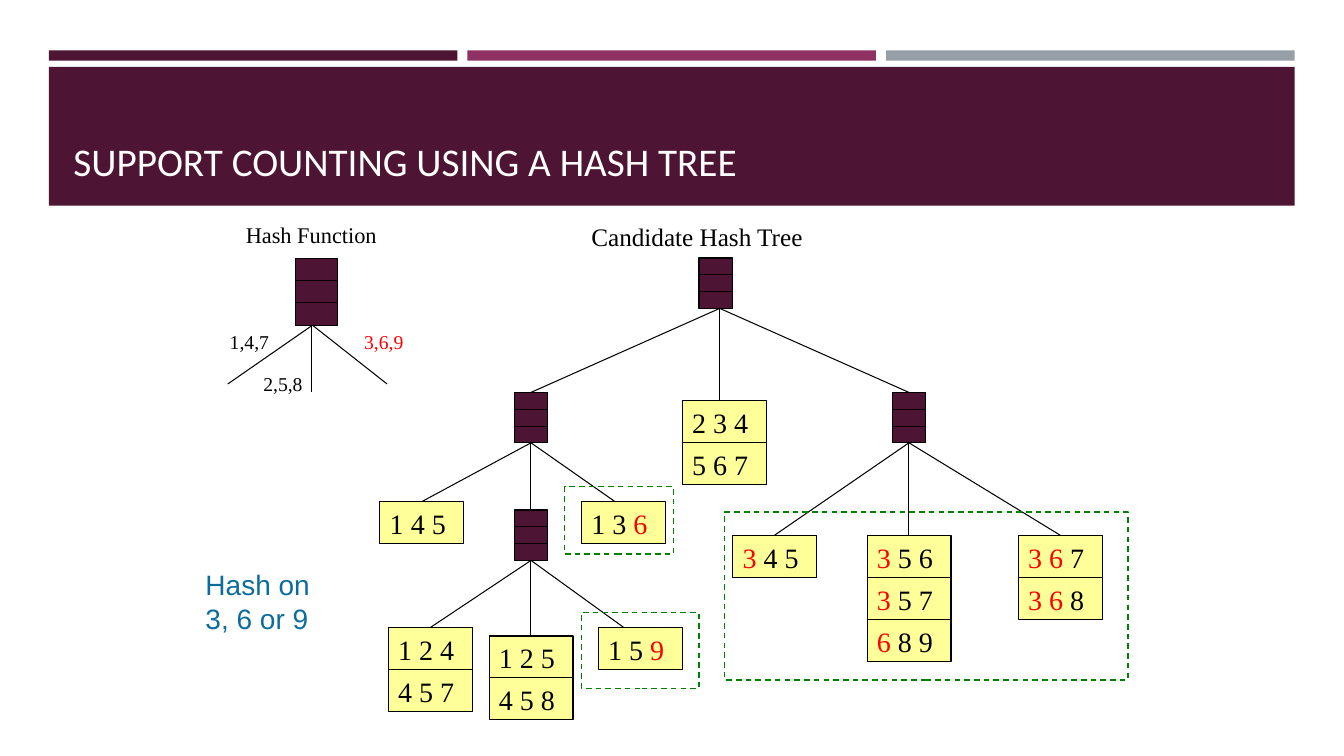
"""Build a slide that explains support counting with a hash tree."""
import pptx
import pptx.dml.color
import pptx.enum.dml
import pptx.enum.shapes
import pptx.enum.text
import pptx.oxml
import pptx.util

Pt = pptx.util.Pt
RGBColor = pptx.dml.color.RGBColor
PLUM = RGBColor(0x4D, 0x14, 0x34)
MAGENTA = RGBColor(0x90, 0x31, 0x63)
GREY = RGBColor(0x96, 0x9F, 0xA7)
WHITE = RGBColor(0xFF, 0xFF, 0xFF)
BLACK = RGBColor(0, 0, 0)
RED = RGBColor(0xFF, 0, 0)
YELLOW = RGBColor(0xFF, 0xFF, 0x99)
GREEN = RGBColor(0, 0x80, 0)
BLUE = RGBColor(0x0C, 0x6D, 0x9C)
SERIF = "Times New Roman"


def add_rectangle(slide, left, top, width, height, fill=None, line=None):
    shape = slide.shapes.add_shape(
        pptx.enum.shapes.MSO_SHAPE.RECTANGLE, Pt(left), Pt(top), Pt(width), Pt(height))
    shape.shadow.inherit = False
    if fill is None:
        shape.fill.background()
    else:
        shape.fill.solid()
        shape.fill.fore_color.rgb = fill
    if line is None:
        shape.line.fill.background()
    else:
        shape.line.color.rgb = line
        shape.line.width = Pt(0.75)
    return shape


def write(shape, text, size, color=BLACK, font=SERIF, wrap=False,
          anchor=pptx.enum.text.MSO_ANCHOR.TOP):
    frame = shape.text_frame
    frame.word_wrap = wrap
    frame.vertical_anchor = anchor
    paragraph = frame.paragraphs[0]
    paragraph.alignment = pptx.enum.text.PP_ALIGN.LEFT
    for index, part in enumerate(text.split("|")):
        if part:
            run = paragraph.add_run()
            run.text = part
            run.font.name = font
            run.font.size = Pt(size)
            run.font.color.rgb = RED if index % 2 else color


def add_text(slide, left, top, width, height, text, size, **style):
    box = slide.shapes.add_textbox(Pt(left), Pt(top), Pt(width), Pt(height))
    write(box, text, size, **style)


def add_line(slide, start, end):
    points = [(Pt(0), Pt(0)) if not isinstance(place, tuple) else (Pt(place[0]), Pt(place[1]))
              for place in (start, end)]
    line = slide.shapes.add_connector(
        pptx.enum.shapes.MSO_CONNECTOR.STRAIGHT, *points[0], *points[1])
    if not isinstance(start, tuple):
        line.begin_connect(start, 2)
    if not isinstance(end, tuple):
        line.end_connect(end, 0)
    line.line.color.rgb = BLACK
    line.line.width = Pt(0.75)
    line._element.spPr.append(pptx.oxml.parse_xml(
        '<a:effectLst xmlns:a="http://schemas.openxmlformats.org/drawingml/2006/main"/>'))


def add_node(slide, left, top, width=24, height=36):
    node = add_rectangle(slide, left, top, width, height, PLUM, BLACK)
    for third in (1, 2):
        y = top + third * height / 3
        add_line(slide, (left, y), (left + width, y))
    return node


def add_leaf(slide, left, top, itemsets):
    cells = []
    for row, itemset in enumerate(itemsets):
        cell = add_rectangle(slide, left, top + 30 * row, 60, 30, YELLOW, BLACK)
        write(cell, itemset, 20)
        cells.append(cell)
    return cells[0]


def add_highlight(slide, left, top, width, height):
    highlight = add_rectangle(slide, left, top, width, height, line=GREEN)
    highlight.line.width = Pt(1)
    highlight.line.dash_style = pptx.enum.dml.MSO_LINE.DASH


def add_banner(slide, left, top, width):
    gap = 7.2
    bar_width = (width - 2 * gap) / 3
    for column, color in enumerate((PLUM, MAGENTA, GREY)):
        add_rectangle(slide, left + column * (bar_width + gap), top, bar_width, 7.4, color)
    add_rectangle(slide, left, top + 11.8, width, 99.2, PLUM)
    add_text(slide, left + 10.5, top + 21.6, width - 21, 77.8,
             "SUPPORT COUNTING USING A HASH TREE", 28, color=WHITE, font="Calibri",
             wrap=True, anchor=pptx.enum.text.MSO_ANCHOR.BOTTOM)


def add_hash_function(slide, left, top):
    add_text(slide, left + 11.5, top, 109, 26.6, "Hash Function", 16)
    add_node(slide, left + 54, top + 30, 30, 48)
    for start, x, y in ((66.2, 5.7, 120), (65.5, 65.5, 126), (66.2, 119.5, 120)):
        add_line(slide, (left + start, top + 78), (left + x, top + y))
    for x, y, label in ((0, 78, "1,4,7"), (24, 108, "2,5,8"), (96, 78, "|3,6,9|")):
        add_text(slide, left + x, top + y, 42.5, 24, label, 14)


def add_candidate_tree(slide, left, top):
    def at(x, y):
        return left + x, top + y

    add_text(slide, *at(144, 0), 167, 29, "Candidate Hash Tree", 18)
    add_node(slide, *at(228, 30))
    left_node, right_node, low_node = (
        add_node(slide, *at(x, y)) for x, y in ((96, 126), (366, 126), (96, 210)))
    add_leaf(slide, *at(216, 132), ["2 3 4", "5 6 7"])
    add_leaf(slide, *at(144, 204), ["1 3 |6|"])
    add_leaf(slide, *at(156, 294), ["1 5 |9|"])

    root_end = at(242.8, 66)
    for child in (left_node, at(242.8, 132), right_node):
        add_line(slide, root_end, child)
    add_line(slide, left_node, low_node)
    add_line(slide, left_node, at(168, 204))
    add_line(slide, low_node, at(174.4, 294))

    for parent, x, y, itemsets in (
            (left_node, 0, 204, ["1 4 5"]),
            (right_node, 252, 228, ["|3| 4 5"]),
            (right_node, 348, 228, ["|3| 5 6", "|3| 5 7", "|6| 8 9"]),
            (right_node, 456, 228, ["|3 6| 7", "|3 6| 8"]),
            (low_node, 6, 294, ["1 2 4", "4 5 7"]),
            (low_node, 78, 300, ["1 2 5", "4 5 8"])):
        add_line(slide, parent, add_leaf(slide, *at(x, y), itemsets))

    for x, y, width, height in (
            (144, 283.4, 84, 54), (246.4, 211.4, 288, 120), (132, 193.4, 78, 48)):
        add_highlight(slide, *at(x, y), width, height)


def main():
    presentation = pptx.Presentation()
    presentation.slide_width = Pt(960)
    presentation.slide_height = Pt(540)
    slide = presentation.slides.add_slide(presentation.slide_layouts[6])
    add_banner(slide, 34.9, 36, 889.9)
    add_hash_function(slide, 157, 154.3)
    add_candidate_tree(slide, 271.3, 154.3)
    add_text(slide, 139.7, 401.8, 90, 55.4, "Hash on 3, 6 or 9", 20,
             color=BLUE, font="Arial", wrap=True)
    presentation.save("out.pptx")


if __name__ == "__main__":
    main()
